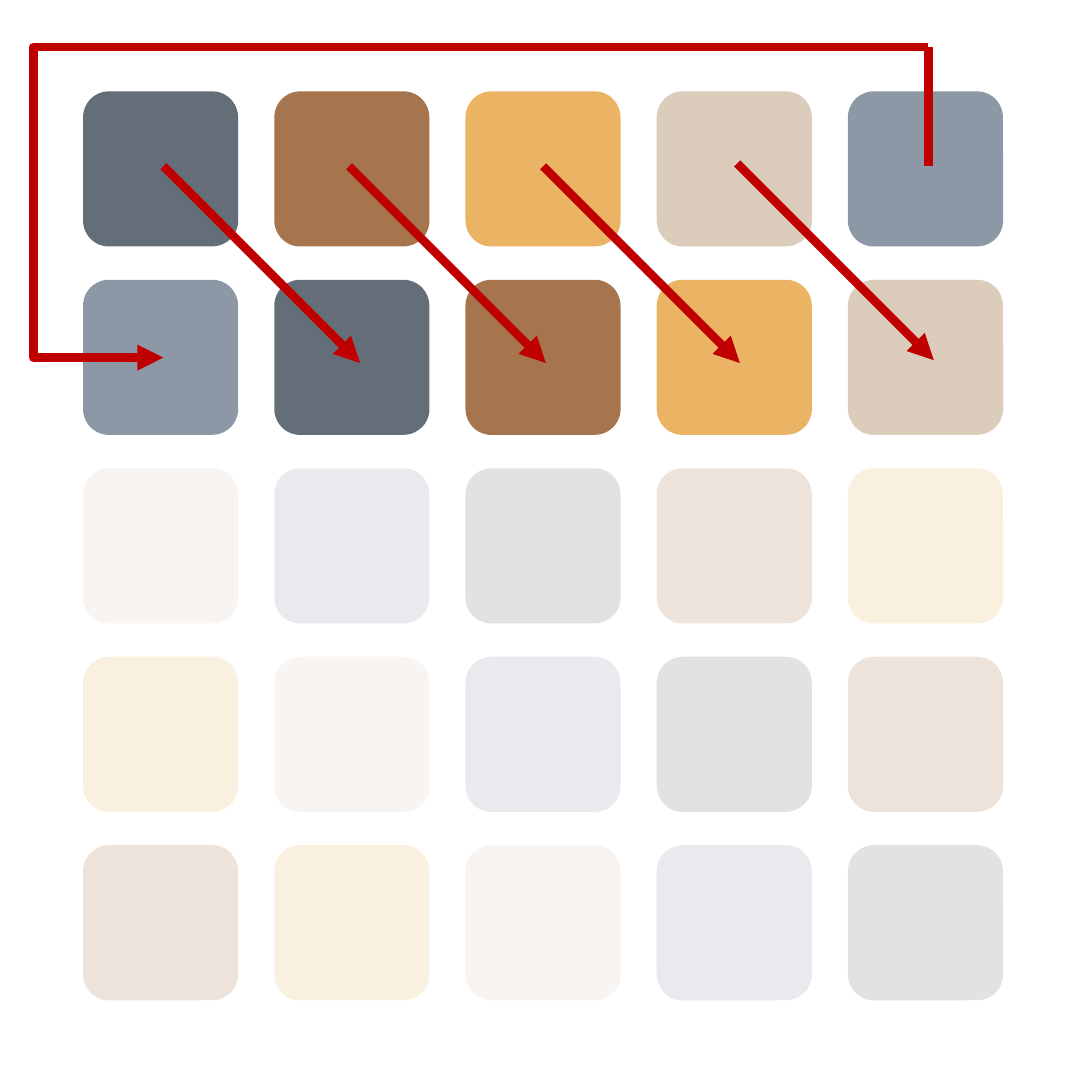
from dataclasses import dataclass

from pptx import Presentation
from pptx.dml.color import RGBColor
from pptx.enum.shapes import MSO_CONNECTOR, MSO_SHAPE
from pptx.oxml import parse_xml
from pptx.oxml.ns import nsdecls, qn
from pptx.util import Inches, Pt

COLORS = {
    "slate": "646E78",
    "brown": "A7754D",
    "amber": "EAB464",
    "sand": "DCCCBB",
    "steel": "8D98A7",
    "arrow": "C00000",
}
PALETTE = ["slate", "brown", "amber", "sand", "steel"]
SIZE = len(PALETTE)
LEFT, TOP = 0.3, 0.33
TILE_W, TILE_H = 0.56, 0.56
PITCH_X, PITCH_Y = 0.69, 0.68
SOLID_ROWS = 2
FADED_ALPHA = 20


@dataclass
class Tile:
    row: int
    col: int

    @property
    def color(self) -> str:
        """Each row is the one above, rotated one place to the right."""
        return COLORS[PALETTE[(self.col - self.row) % SIZE]]


@dataclass
class Arrow:
    start: tuple[float, float]
    end: tuple[float, float]
    kind: MSO_CONNECTOR = MSO_CONNECTOR.STRAIGHT
    head: bool = True
    bend: float | None = None


def a_element(tag: str, attrs: str = ""):
    return parse_xml(f"<a:{tag} {nsdecls('a')} {attrs}/>")


def draw_tile(shapes, tile: Tile) -> None:
    sp = shapes.add_shape(
        MSO_SHAPE.ROUNDED_RECTANGLE,
        Inches(LEFT + tile.col * PITCH_X), Inches(TOP + tile.row * PITCH_Y),
        Inches(TILE_W), Inches(TILE_H),
    )
    sp.shadow.inherit = False
    sp.line.fill.background()
    sp.fill.solid()
    sp.fill.fore_color.rgb = RGBColor.from_string(tile.color)
    if tile.row >= SOLID_ROWS:
        color = sp._element.spPr.find(qn("a:solidFill")).find(qn("a:srgbClr"))
        color.append(a_element("alpha", f'val="{FADED_ALPHA * 1000}"'))


def draw_arrow(shapes, arrow: Arrow) -> None:
    x1, y1 = arrow.start
    x2, y2 = arrow.end
    cxn = shapes.add_connector(
        arrow.kind, Inches(x1), Inches(y1), Inches(x2), Inches(y2))
    cxn.line.color.rgb = RGBColor.from_string(COLORS["arrow"])
    cxn.line.width = Pt(2.25)
    sp_pr = cxn._element.spPr
    if arrow.head:
        sp_pr.find(qn("a:ln")).append(a_element("tailEnd", 'type="triangle"'))
    if arrow.bend is not None:
        guides = sp_pr.find(qn("a:prstGeom")).find(qn("a:avLst"))
        value = round(arrow.bend * 100000)
        guides.append(a_element("gd", f'name="adj1" fmla="val {value}"'))
    sp_pr.append(a_element("effectLst"))


prs = Presentation()
prs.slide_width = prs.slide_height = Inches(3.94)
s = prs.slides.add_slide(prs.slide_layouts[6])

# Grid of rotated palette rows
for row in range(SIZE):
    for col in range(SIZE):
        draw_tile(s.shapes, Tile(row, col))

# Diagonal arrows: each colour moves one place right
SHIFT = 0.71
starts = [(0.59, 0.6), (1.26, 0.6), (1.96, 0.6), (2.66, 0.59)]
arrows = [Arrow((x, y), (x + SHIFT, y + SHIFT)) for x, y in starts]

# Wrap-around: the last colour returns to the first place
corner = (3.35, 0.17)
arrows += [
    Arrow(corner, (0.59, 1.29), MSO_CONNECTOR.ELBOW, bend=1.17),
    Arrow(corner, (3.35, 0.6), head=False),
]
for arrow in arrows:
    draw_arrow(s.shapes, arrow)

prs.save("out.pptx")
